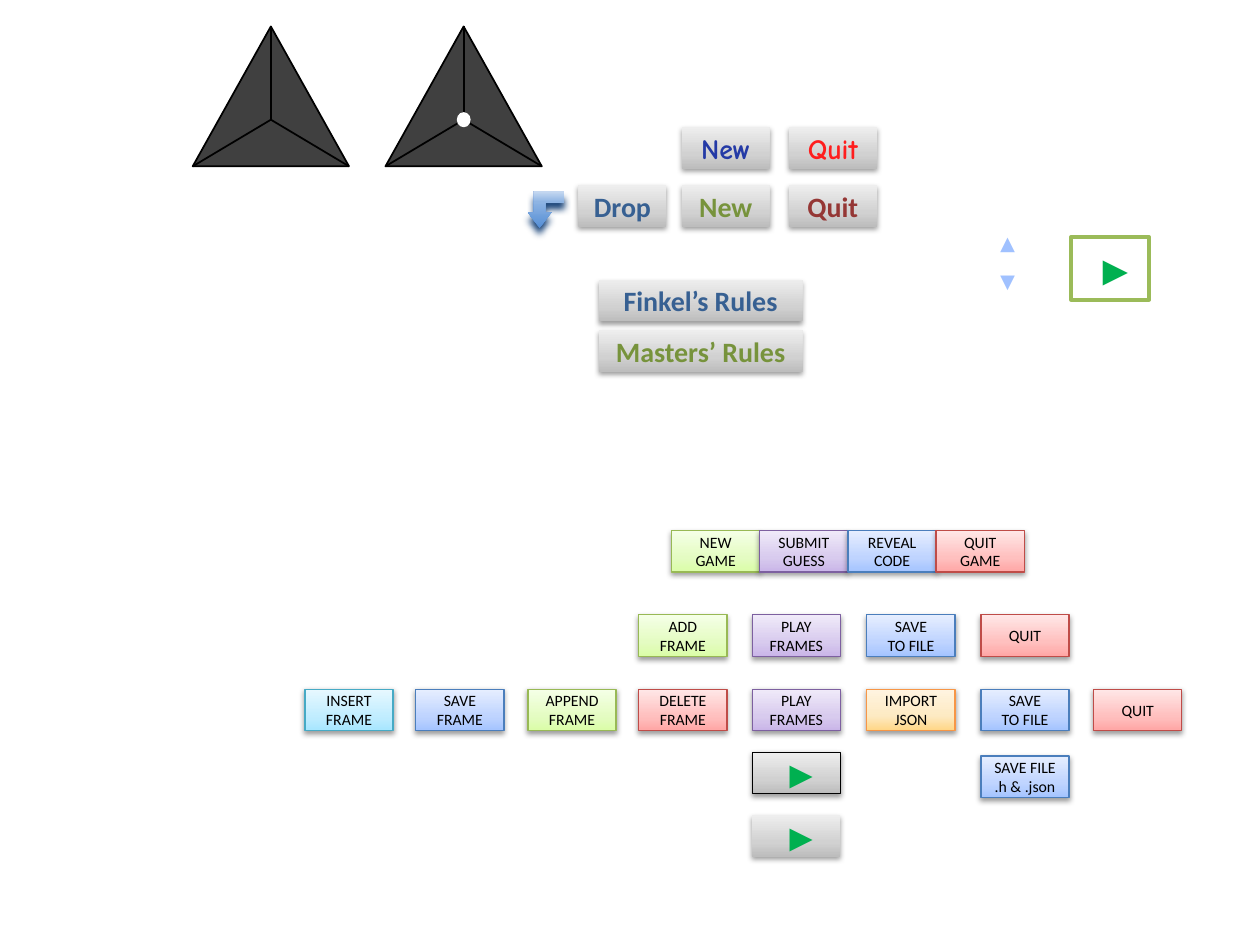
from dataclasses import dataclass

from lxml import etree
from pptx import Presentation, util as u
from pptx.dml.color import RGBColor
from pptx.enum import shapes, text
from pptx.oxml.ns import qn


@dataclass(frozen=True)
class Theme:
    body: str = "Calibri"
    playful: str = "Comic Neue"
    symbol: str = "Times New Roman"
    key_size: float = 9
    label_size: float = 16
    spinner_size: float = 14
    play_size: float = 22
    big_play_size: float = 24
    black: str = "000000"
    white: str = "FFFFFF"
    stone: str = "404040"
    play: str = "00B050"
    frame: str = "9BBB59"
    spinner: str = "A0C1FF"
    blue: str = "376092"
    olive: str = "77933C"
    maroon: str = "953735"
    navy: str = "243AA6"
    scarlet: str = "FF1D1D"
    arrow_shadow: str = "1F497D"


THEME = Theme()

# Gradient stops (position in percent, colour) and outline of each key colour
GREEN = ((0, "DAFDA7"), (35, "E4FCC2"), (100, "F5FFE7")), "98B955"
PURPLE = ((0, "C9B5E8"), (35, "D8CBEE"), (100, "F0EAF9")), "7D60A0"
RED = ((0, "FFA6A5"), (35, "FFC0BF"), (100, "FFE7E7")), "BF4C48"
BLUE = ((0, "A4C4FF"), (35, "BFD4FF"), (100, "E6EEFF")), "4B7EBC"
CYAN = ((0, "A7E6FF"), (35, "C1EDFF"), (100, "E7F8FF")), "46AAC5"
ORANGE = ((0, "FFD685"), (36, "FDEAC3"), (100, "FFF4E1")), "F79646"
GREY_STOPS = ((0, "BDBDBD"), (35, "D1D1D1"), (100, "EEEEEE"))
GREY = GREY_STOPS, None
GREY_OUTLINED = GREY_STOPS, THEME.black
ARROW_STOPS = ((0, "558ED5"), (72, "8EB4E3"), (100, "C6D9F1"))

# Grid of the keys, in inches
KEY_W, KEY_H = 0.7, 0.33
COLUMNS = (2.42, 3.3, 4.19, 5.07, 5.97, 6.88, 7.785, 8.68)
GAME_ROW, ADD_ROW, FRAME_ROW = 4.21, 4.88, 5.47


def rgb(colour):
    return RGBColor.from_string(colour)


def set_gradient(shape, stops, angle):
    shape.fill.gradient()
    shape.fill.gradient_angle = angle
    stop_list = shape._element.spPr.find(qn("a:gradFill")).find(qn("a:gsLst"))
    for old in list(stop_list):
        stop_list.remove(old)
    for position, colour in stops:
        stop = etree.SubElement(stop_list, qn("a:gs"), pos=str(position * 1000))
        etree.SubElement(stop, qn("a:srgbClr"), val=colour)


def set_outline(shape, colour, width=0.75):
    if colour:
        shape.line.color.rgb = rgb(colour)
        shape.line.width = u.Pt(width)
    else:
        shape.line.fill.background()


def set_shadow(shape, colour, opacity, blur, distance):
    shape.shadow.inherit = False
    effects = shape._element.spPr.find(qn("a:effectLst"))
    shadow = etree.SubElement(
        effects, qn("a:outerShdw"), blurRad=str(u.Pt(blur)),
        dist=str(u.Pt(distance)), dir="5400000", rotWithShape="0")
    tint = etree.SubElement(shadow, qn("a:srgbClr"), val=colour)
    etree.SubElement(tint, qn("a:alpha"), val=str(opacity * 1000))


def write(shape, words, font, size, colour, bold=False):
    frame = shape.text_frame
    frame.text = words
    for line in frame.paragraphs:
        line.alignment = text.PP_ALIGN.CENTER
        line.font.name = font
        line.font.size = u.Pt(size)
        line.font.bold = bold
        line.font.color.rgb = rgb(colour)


def fit_to_text(shape):
    shape.text_frame.word_wrap = False
    shape.text_frame.auto_size = text.MSO_AUTO_SIZE.SHAPE_TO_FIT_TEXT
    shape.text_frame.vertical_anchor = text.MSO_ANCHOR.TOP


def add_preset(parent, kind, x, y, w, h):
    return parent.shapes.add_shape(kind, *map(u.Inches, (x, y, w, h)))


def add_button(slide, x, y, words, look, font=THEME.body, size=THEME.key_size,
               colour=THEME.black, bold=False, w=KEY_W):
    stops, outline = look
    button = add_preset(slide, shapes.MSO_SHAPE.RECTANGLE, x, y, w, KEY_H)
    set_gradient(button, stops, 90)
    set_outline(button, outline)
    set_shadow(button, THEME.black, 38, 3.1, 1.6)
    button.text_frame.vertical_anchor = text.MSO_ANCHOR.MIDDLE
    write(button, words, font, size, colour, bold)


def add_label_button(slide, x, y, words, colour, font=THEME.body, w=KEY_W):
    add_button(slide, x, y, words, GREY, font, THEME.label_size, colour, True, w)


def add_key_row(slide, xs, y, keys):
    for x, (words, look) in zip(xs, keys):
        add_button(slide, x, y, words, look)


def add_pyramid(slide, x, y, dotted):
    w, h, peak_drop = 1.24, 1.11, 0.74
    pyramid = slide.shapes.add_group_shape()
    face = add_preset(pyramid, shapes.MSO_SHAPE.ISOSCELES_TRIANGLE, x, y, w, h)
    face.shadow.inherit = False
    face.fill.solid()
    face.fill.fore_color.rgb = rgb(THEME.stone)
    set_outline(face, THEME.black, 1)
    peak = x + w / 2, y + peak_drop
    for corner in ((x + w / 2, y), (x, y + h), (x + w, y + h)):
        edge = pyramid.shapes.add_connector(
            shapes.MSO_CONNECTOR.STRAIGHT, *map(u.Inches, corner + peak))
        set_outline(edge, THEME.black, 1)
        etree.SubElement(edge._element.spPr, qn("a:effectLst"))
    if dotted:
        dot_w, dot_h = 0.11, 0.12
        dot = add_preset(pyramid, shapes.MSO_SHAPE.OVAL,
                         peak[0] - dot_w / 2, peak[1] - dot_h / 2, dot_w, dot_h)
        dot.shadow.inherit = False
        dot.fill.solid()
        dot.fill.fore_color.rgb = rgb(THEME.white)
        set_outline(dot, None)


def add_spinner_arrow(slide, y, symbol):
    arrow = slide.shapes.add_textbox(*map(u.Inches, (7.78, y, 0.4, 0.34)))
    arrow.rotation = 270
    fit_to_text(arrow)
    write(arrow, symbol, THEME.symbol, THEME.spinner_size, THEME.spinner, True)


def add_play_frame(slide):
    frame = add_preset(slide, shapes.MSO_SHAPE.RECTANGLE, 8.5, 1.88, 0.62, 0.5)
    frame.shadow.inherit = False
    frame.fill.solid()
    frame.fill.fore_color.rgb = rgb(THEME.white)
    set_outline(frame, THEME.frame, 2)
    fit_to_text(frame)
    write(frame, " ►", THEME.symbol, THEME.big_play_size, THEME.play)


def add_drop_arrow(slide):
    arrow = add_preset(slide, shapes.MSO_SHAPE.BENT_UP_ARROW, 4.19, 1.52, 0.29, 0.29)
    arrow.rotation = 180
    for index, share in enumerate((0.31, 0.32, 0.43)):
        arrow.adjustments[index] = share
    set_gradient(arrow, ARROW_STOPS, 270)
    set_outline(arrow, None)
    set_shadow(arrow, THEME.arrow_shadow, 100, 4, 4)


def main():
    deck = Presentation()
    deck.slide_width, deck.slide_height = u.Inches(10), u.Inches(7.5)
    slide = deck.slides.add_slide(deck.slide_layouts[6])

    # Rows of coloured keys
    add_key_row(slide, [5.33 + KEY_W * i for i in range(4)], GAME_ROW, (
        ("NEW\nGAME", GREEN), ("SUBMIT GUESS", PURPLE),
        ("REVEAL\nCODE", BLUE), ("QUIT\nGAME", RED)))
    add_key_row(slide, COLUMNS[3:7], ADD_ROW, (
        ("ADD\nFRAME", GREEN), ("PLAY\nFRAMES", PURPLE),
        ("SAVE\nTO FILE", BLUE), ("QUIT", RED)))
    add_key_row(slide, COLUMNS, FRAME_ROW, (
        ("INSERT\nFRAME", CYAN), ("SAVE\nFRAME", BLUE), ("APPEND\nFRAME", GREEN),
        ("DELETE\nFRAME", RED), ("PLAY\nFRAMES", PURPLE), ("IMPORT JSON", ORANGE),
        ("SAVE\nTO FILE", BLUE), ("QUIT", RED)))
    add_button(slide, COLUMNS[6], 6, "SAVE FILE\n.h & .json", BLUE)

    # Play controls and spinner
    for y, look in ((5.97, GREY_OUTLINED), (6.47, GREY)):
        add_button(slide, COLUMNS[4], y, " ►", look, THEME.symbol,
                   THEME.play_size, THEME.play)
    add_play_frame(slide)
    add_spinner_arrow(slide, 1.78, "►")
    add_spinner_arrow(slide, 2.08, "◄")

    # Grey game buttons
    add_drop_arrow(slide)
    add_label_button(slide, 4.59, 1.47, "Drop", THEME.blue)
    for x, words, plain, bright in ((5.41, "New", THEME.olive, THEME.navy),
                                    (6.26, "Quit", THEME.maroon, THEME.scarlet)):
        add_label_button(slide, x, 1.47, words, plain)
        add_label_button(slide, x, 1.01, words, bright, THEME.playful)
    add_label_button(slide, 4.75, 2.22, "Finkel’s Rules", THEME.blue, w=1.62)
    add_label_button(slide, 4.75, 2.62, "Masters’ Rules", THEME.olive, w=1.62)

    # Pyramids
    add_pyramid(slide, 1.53, 0.21, dotted=False)
    add_pyramid(slide, 3.06, 0.21, dotted=True)

    deck.save("out.pptx")


if __name__ == "__main__":
    main()
